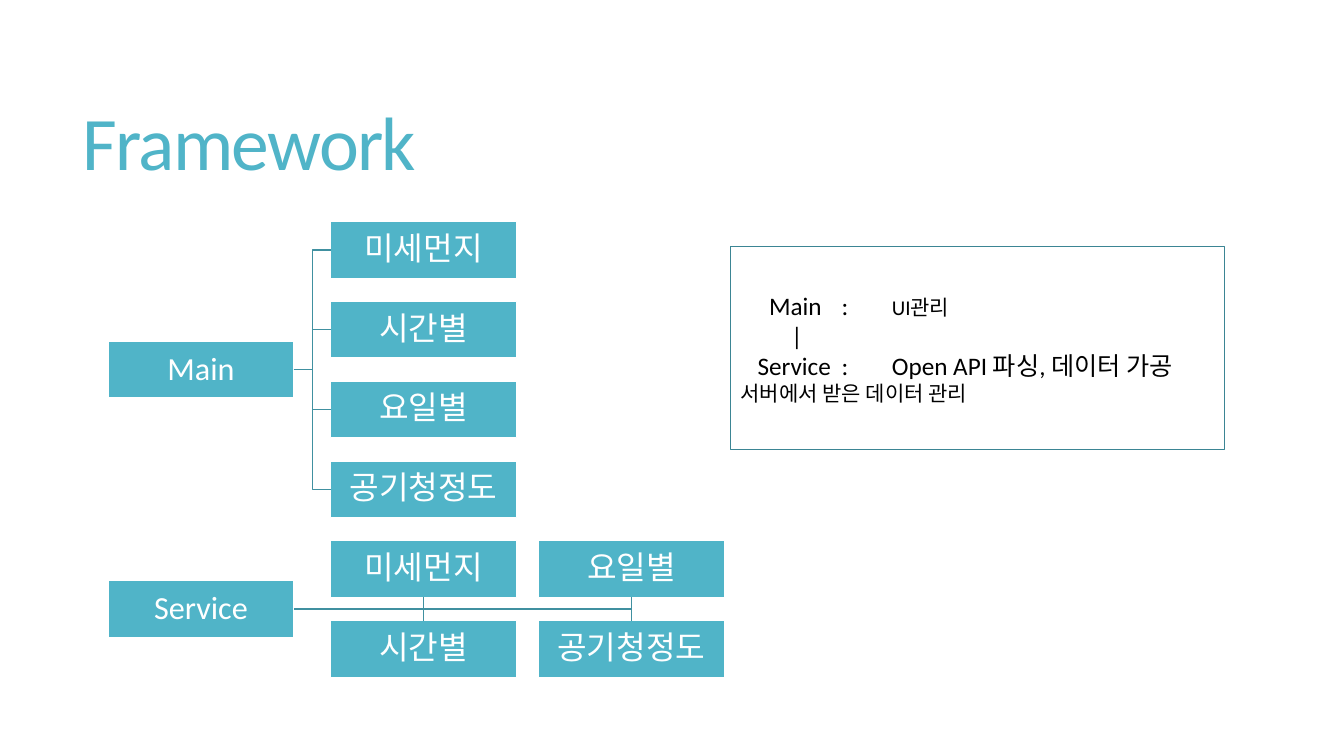
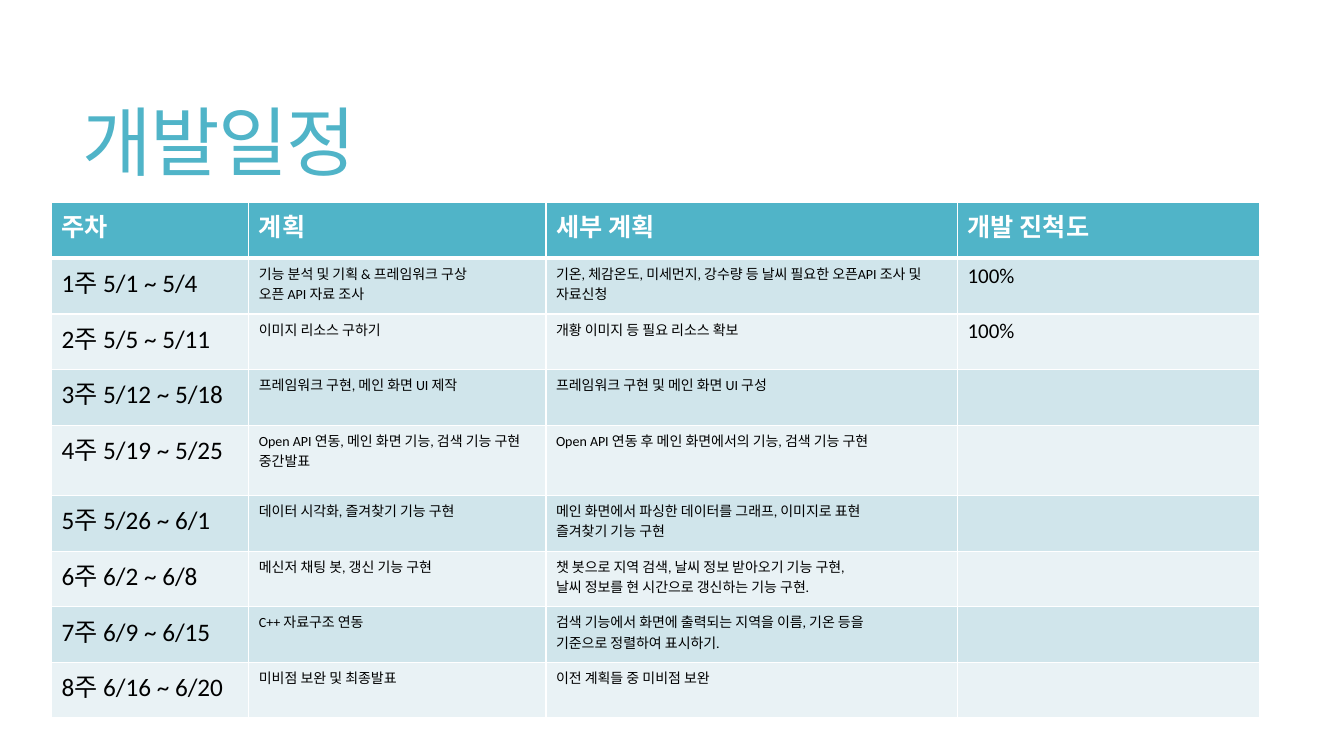
from dataclasses import dataclass

from pptx import Presentation
from pptx.dml.color import RGBColor
from pptx.enum.shapes import MSO_CONNECTOR as LINK, MSO_SHAPE as SHAPE
from pptx.enum.text import MSO_ANCHOR as ANCHOR, PP_ALIGN as ALIGN
from pptx.oxml.ns import qn
from pptx.util import Emu, Pt
from lxml.etree import SubElement

PX = 9525
TOP, LEFT, BOTTOM, RIGHT = range(4)  # connection sites of a rectangle


@dataclass(frozen=True)
class Theme:
    font: str = "Calibri"
    accent: str = "50B4C8"
    link: str = "4090A0"
    outline: str = "3B8594"
    band_dark: str = "D0E5EB"
    band_light: str = "E9F2F5"
    white: str = "FFFFFF"
    black: str = "000000"
    title: int = 54
    node: int = 23
    body: int = 18
    small: int = 15
    detail: int = 10


T = Theme()

WEEK_HEADER = ["주차", "계획", "세부 계획", "개발 진척도"]
WEEKS = [
    ["1주 5/1 ~ 5/4", "기능 분석 및 기획 & 프레임워크 구상\n오픈 API 자료 조사",
     "기온, 체감온도, 미세먼지, 강수량 등 날씨 필요한 오픈API 조사 및 자료신청", "100%"],
    ["2주 5/5 ~ 5/11", "이미지 리소스 구하기", "개황 이미지 등 필요 리소스 확보", "100%"],
    ["3주 5/12 ~ 5/18", "프레임워크 구현, 메인 화면 UI 제작",
     "프레임워크 구현 및 메인 화면 UI 구성", ""],
    ["4주 5/19 ~ 5/25", "Open API 연동, 메인 화면 기능, 검색 기능 구현\n중간발표",
     "Open API 연동 후 메인 화면에서의 기능, 검색 기능 구현", ""],
    ["5주 5/26 ~ 6/1", "데이터 시각화, 즐겨찾기 기능 구현",
     "메인 화면에서 파싱한 데이터를 그래프, 이미지로 표현\n즐겨찾기 기능 구현", ""],
    ["6주 6/2 ~ 6/8", "메신저 채팅 봇, 갱신 기능 구현",
     "챗 봇으로 지역 검색, 날씨 정보 받아오기 기능 구현,\n"
     "날씨 정보를 현 시간으로 갱신하는 기능 구현.", ""],
    ["7주 6/9 ~ 6/15", "C++ 자료구조 연동",
     "검색 기능에서 화면에 출력되는 지역을 이름, 기온 등을\n기준으로 정렬하여 표시하기.", ""],
    ["8주 6/16 ~ 6/20", "미비점 보완 및 최종발표", "이전 계획들 중 미비점 보완", ""],
]
THREE_LINE_WEEK = 4


def px(*lengths):
    return [Emu(round(n * PX)) for n in lengths]


def rgb(color):
    return RGBColor.from_string(color)


def paragraph(tf, index):
    """Return the first paragraph for index 0, otherwise a new one."""
    return tf.add_paragraph() if index else tf.paragraphs[0]


def write(p, text, size=T.body, color=T.black, bold=False, align=ALIGN.LEFT,
          spacing=None, tracking=None, tabs=()):
    r = p.add_run()
    r.text = text
    font = r.font
    font.name, font.size, font.bold = T.font, Pt(size), bold
    font.color.rgb = rgb(color)
    p.alignment = align
    if spacing:
        p.line_spacing = spacing
    if tracking:
        r._r.get_or_add_rPr().set("spc", str(tracking))
    if tabs:
        tab_list = SubElement(p._p.get_or_add_pPr(), qn("a:tabLst"))
        for stop in px(*tabs):
            SubElement(tab_list, qn("a:tab"), pos=str(stop), algn="l")


def add_title(slide, text):
    tf = slide.shapes.add_textbox(*px(69, 53, 1131, 174)).text_frame
    tf.word_wrap, tf.vertical_anchor = True, ANCHOR.MIDDLE
    write(tf.paragraphs[0], text, size=T.title, color=T.accent, spacing=0.85, tracking=-120)


def add_box(slide, box, line, fill=None):
    sp = slide.shapes.add_shape(SHAPE.RECTANGLE, *px(*box))
    sp.shadow.inherit = False
    if fill:
        sp.fill.solid()
        sp.fill.fore_color.rgb = rgb(fill)
    else:
        sp.fill.background()
    sp.line.color.rgb, sp.line.width = rgb(line), Pt(1)
    sp.text_frame.word_wrap, sp.text_frame.vertical_anchor = True, ANCHOR.MIDDLE
    return sp


def add_link(slide, kind, start, end=None, sites=(RIGHT, LEFT), points=(0, 0, 0, 0)):
    link = slide.shapes.add_connector(kind, *points)
    link.line.color.rgb, link.line.width = rgb(T.link), Pt(1)
    SubElement(link._element.spPr, qn("a:effectLst"))
    link.begin_connect(start, sites[0])
    if end is not None:
        link.end_connect(end, sites[1])


def add_tree(slide, left, top):
    """Main with its children stacked, Service with its children in pairs."""
    width, height, pitch = 177, 54, 76
    columns = [left, left + 212, left + 410]
    pages = ["미세먼지", "시간별", "요일별", "공기청정도"]

    def node(text, column, row):
        sp = add_box(slide, (columns[column], top + row * pitch, width, height),
                     T.white, T.accent)
        tf = sp.text_frame
        tf.margin_left = tf.margin_right = tf.margin_top = tf.margin_bottom = px(2)[0]
        write(tf.paragraphs[0], text, size=T.node, color=T.white,
              align=ALIGN.CENTER, spacing=0.9)
        return sp

    main = node("Main", 0, 1.5)
    for row, page in enumerate(pages):
        add_link(slide, LINK.ELBOW, main, node(page, 1, row))

    service = node("Service", 0, 4.5)
    trunk_y = top + 4.5 * pitch + height / 2
    trunk = px(left + width, trunk_y, columns[2] + width / 2, trunk_y)
    add_link(slide, LINK.STRAIGHT, service, points=trunk)
    for column, (upper, lower) in enumerate((pages[:2], pages[2:]), 1):
        add_link(slide, LINK.STRAIGHT, node(upper, column, 4), node(lower, column, 5),
                 sites=(BOTTOM, TOP))


def add_roles(slide, box):
    tf = add_box(slide, box, T.outline).text_frame
    colon, role = 96, 144
    lines = [
        ([("\tMain\t:\t", T.body), ("UI관리", T.small)], (27, colon, role)),
        ([("\t|", T.body)], (48,)),
        ([("\tService\t:\tOpen API 파싱, 데이터 가공", T.body)], (16, colon, role)),
        ([("서버에서 받은 데이터 관리", T.small)], ()),
    ]
    for i, (runs, tabs) in enumerate(lines):
        p = paragraph(tf, i)
        for j, (text, size) in enumerate(runs):
            write(p, text, size=size, tabs=() if j else tabs)


def style_cell(cell, fill, top=1, bottom=1):
    """Set white borders, with top and bottom widths in points, and the fill."""
    tc_pr = cell._tc.get_or_add_tcPr()
    for side, width in (("L", 1), ("R", 1), ("T", top), ("B", bottom)):
        ln = SubElement(tc_pr, qn(f"a:ln{side}"), w=str(Pt(width)))
        SubElement(SubElement(ln, qn("a:solidFill")), qn("a:srgbClr"), val=T.white)
    cell.fill.solid()
    cell.fill.fore_color.rgb = rgb(fill)


def add_schedule(slide, left, top):
    widths = [188, 283, 392, 288]
    rows = [WEEK_HEADER] + WEEKS
    heights = [67 if i == THREE_LINE_WEEK else 53 for i in range(len(rows))]
    frame = slide.shapes.add_table(
        len(rows), len(widths), *px(left, top, sum(widths), sum(heights)))
    table = frame.table
    table.horz_banding = False
    for column, width in zip(table.columns, px(*widths)):
        column.width = width
    for table_row, height in zip(table.rows, px(*heights)):
        table_row.height = height
    sizes = [T.body, T.detail, T.detail, T.small]
    for i, row in enumerate(rows):
        header = i == 0
        fill = T.accent if header else T.band_dark if i % 2 else T.band_light
        for j, text in enumerate(row):
            cell = table.cell(i, j)
            style_cell(cell, fill, top=3 if i == 1 else 1, bottom=3 if header else 1)
            if not text:
                continue
            for k, line in enumerate(text.split("\n")):
                write(paragraph(cell.text_frame, k), line, bold=header,
                      size=T.body if header else sizes[j],
                      color=T.white if header else T.black)


def framework_slide(slide):
    add_title(slide, "Framework")
    add_tree(slide, 103, 211)
    add_roles(slide, (696, 235, 470, 193))


def schedule_slide(slide):
    add_title(slide, "개발일정")
    add_schedule(slide, 49, 193)


def main():
    prs = Presentation()
    prs.slide_width, prs.slide_height = px(1280, 720)
    for build in (framework_slide, schedule_slide):
        build(prs.slides.add_slide(prs.slide_layouts[6]))
    prs.save("out.pptx")


if __name__ == "__main__":
    main()
